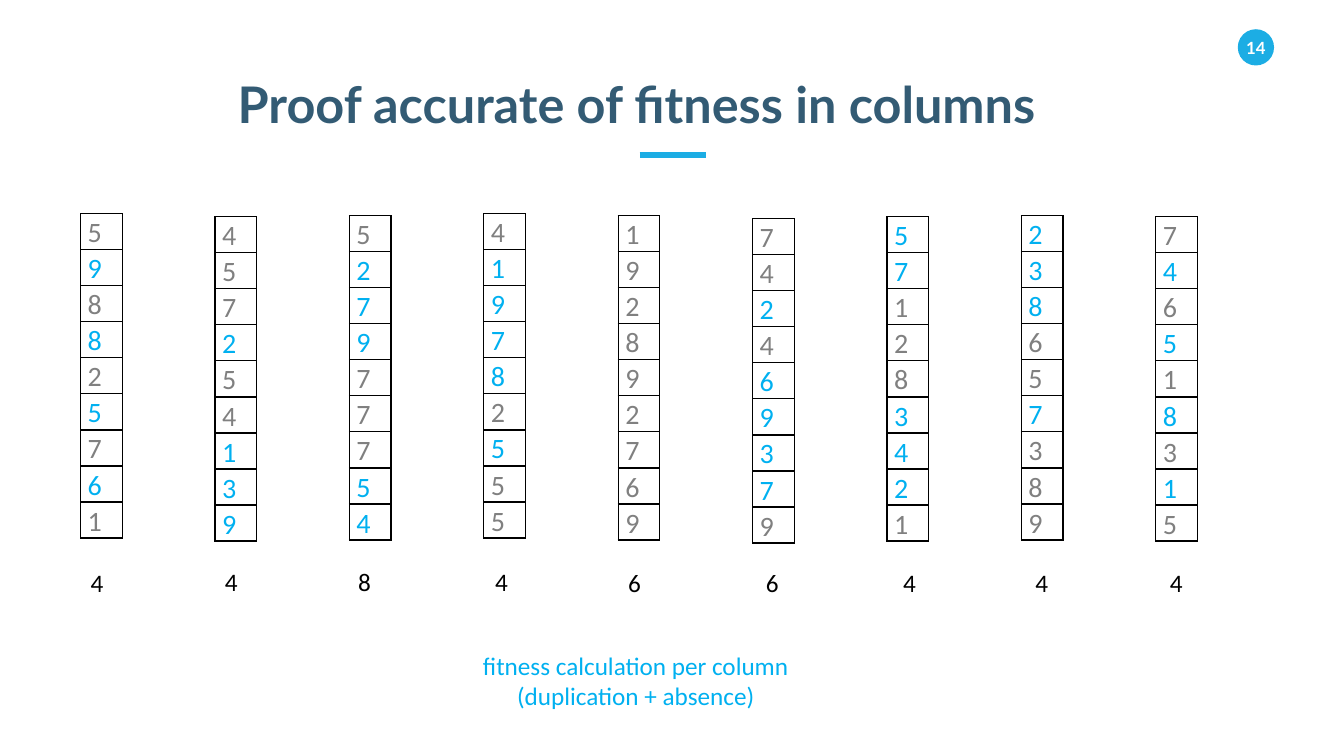
from dataclasses import dataclass

from pptx import Presentation
from pptx.dml.color import RGBColor
from pptx.enum.shapes import MSO_CONNECTOR, MSO_SHAPE
from pptx.enum.text import MSO_ANCHOR, PP_ALIGN
from pptx.oxml.xmlchemy import OxmlElement
from pptx.util import Emu, Inches, Pt

WIDE, HIGH = Inches(13.33), Inches(7.5)
BLUE, NAVY, CYAN, GRAY = "1CADE4", "335B74", "00B0F0", "808080"
BLACK, WHITE = "000000", "FFFFFF"

TITLE = {"size": Pt(36), "name": "Lato", "bold": True}
BADGE = {"size": Pt(12), "name": "Lato", "bold": True}
NOTE = {"size": Pt(18), "name": "Calibri"}
DIGIT = {"size": Pt(20), "name": "Calibri"}
FLUSH = {"margin_left": 0, "margin_right": 0, "margin_top": 0, "margin_bottom": 0}
INSET = FLUSH | {"margin_left": Inches(0.07), "margin_right": Inches(0.07)}

FIRST, STEP = 6, 10  # left of the first column and the pitch, in % of the width


@dataclass(frozen=True)
class Column:
    """One column: digits, x where a digit is blue, score, and places in %."""
    digits: str
    marks: str
    score: str
    top: float
    shift: float = 0
    base: float = 74.4


COLUMNS = [
    Column("598825761", ".x.x.x.x.", "4", 28.27),
    Column("457254139", "...x..xxx", "4", 28.67, base=74.27),
    Column("527977754", ".xxx...xx", "8", 28.53, -0.1, 74.27),
    Column("419782555", ".xxxx.x..", "4", 28.27, 0.1, 74.27),
    Column("192892769", ".........", "6", 28.53),
    Column("742469379", "..x.xxxx.", "6", 28.93, 0.25),
    Column("571283421", "xx...xxx.", "4", 28.67, 0.45),
    Column("238657389", "xxx..x...", "4", 28.53, 0.3),
    Column("746518315", ".x.x.x.x.", "4", 28.67, 0.3),
]


def color(code: str) -> RGBColor:
    return RGBColor.from_string(code)


def across(share: float) -> Emu:
    return Emu(round(WIDE * share / 100))


def down(share: float) -> Emu:
    return Emu(round(HIGH * share / 100))


def place(left: float, top: float, width: float, height: float) -> tuple:
    """Turn shares of the slide's size into lengths."""
    return across(left), down(top), across(width), down(height)


def apply(target, values: dict) -> None:
    for key, value in values.items():
        setattr(target, key, value)


def write(frame, lines: list[str], style: dict, code: str, align=PP_ALIGN.LEFT) -> None:
    for nth, line in enumerate(lines):
        para = frame.add_paragraph() if nth else frame.paragraphs[0]
        para.alignment = align
        run = para.add_run()
        run.text = line
        apply(run.font, style)
        run.font.color.rgb = color(code)


def label(slide, box: tuple, lines: list[str], style: dict, code: str,
          align=PP_ALIGN.LEFT) -> None:
    frame = slide.shapes.add_textbox(*box).text_frame
    frame.word_wrap = True
    write(frame, lines, style, code, align)


def badge(slide, box: tuple, text: str) -> None:
    disc = slide.shapes.add_shape(MSO_SHAPE.OVAL, *box)
    disc.shadow.inherit = False
    disc.fill.solid()
    disc.fill.fore_color.rgb = color(BLUE)
    disc.line.fill.background()
    frame = disc.text_frame
    apply(frame, FLUSH | {"word_wrap": False, "vertical_anchor": MSO_ANCHOR.MIDDLE})
    write(frame, [text], BADGE, WHITE, PP_ALIGN.CENTER)


def rule(slide, left: float, right: float, top: float) -> None:
    line = slide.shapes.add_connector(
        MSO_CONNECTOR.STRAIGHT, across(left), down(top), across(right), down(top))
    line.line.width = Pt(4.5)
    line.line.color.rgb = color(BLUE)
    line._element.spPr.append(OxmlElement("a:effectLst"))


def border(cell, code: str) -> None:
    props = cell._tc.get_or_add_tcPr()
    for side in ("a:lnL", "a:lnR", "a:lnT", "a:lnB"):
        edge = OxmlElement(side)
        edge.set("w", str(Pt(1)))
        fill = OxmlElement("a:solidFill")
        tint = OxmlElement("a:srgbClr")
        tint.set("val", code)
        fill.append(tint)
        edge.append(fill)
        props.append(edge)


def stack(slide, left: float, column: Column) -> None:
    """Draw the digits of a column as a table, with the score below."""
    box = place(left, column.top, 3.1, 42.93)
    table = slide.shapes.add_table(len(column.digits), 1, *box).table
    apply(table, {"first_row": False, "horz_banding": False})
    for row, (digit, mark) in enumerate(zip(column.digits, column.marks)):
        cell = table.cell(row, 0)
        border(cell, BLACK)
        cell.fill.background()
        apply(cell, INSET)
        write(cell.text_frame, [digit], DIGIT, CYAN if mark == "x" else GRAY)
        cell.text_frame.paragraphs[0].line_spacing = 1.07
    spot = place(left + column.shift, column.base, 2.65, 5.33)
    label(slide, spot, [column.score], NOTE, BLACK)


def main() -> None:
    deck = Presentation()
    apply(deck, {"slide_width": WIDE, "slide_height": HIGH})
    slide = deck.slides.add_slide(deck.slide_layouts[6])
    badge(slide, place(92.1, 3.87, 2.7, 4.8), "14")
    rule(slide, 47.6, 52.5, 20.53)
    label(slide, place(16.95, 9.07, 66.3, 9.47),
          ["Proof accurate of fitness in columns"], TITLE, NAVY)
    for nth, column in enumerate(COLUMNS):
        stack(slide, FIRST + nth * STEP, column)
    label(slide, place(33.45, 85.33, 27.7, 9.47),
          ["fitness calculation per column", "(duplication + absence)"],
          NOTE, CYAN, PP_ALIGN.CENTER)
    deck.save("out.pptx")


if __name__ == "__main__":
    main()
